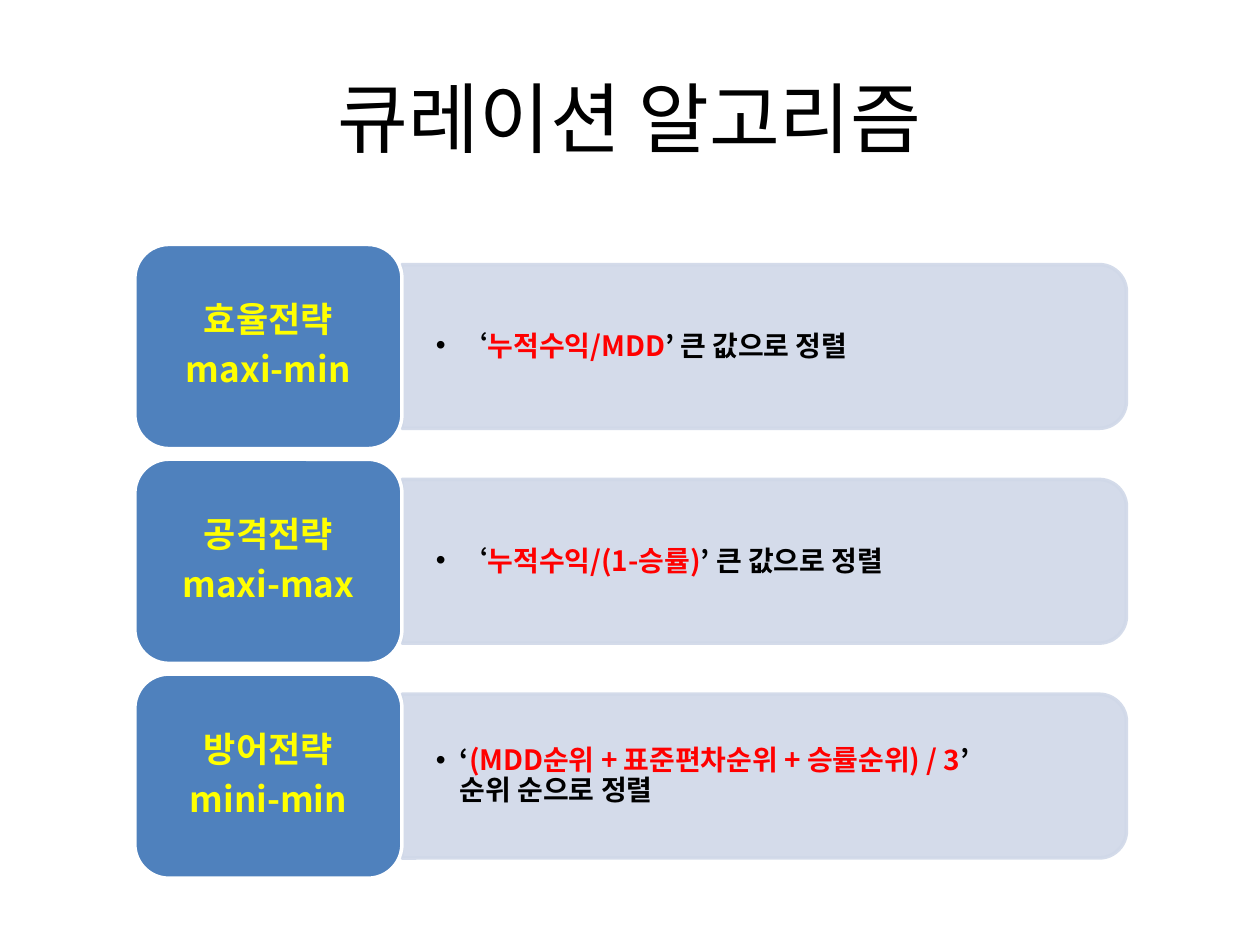
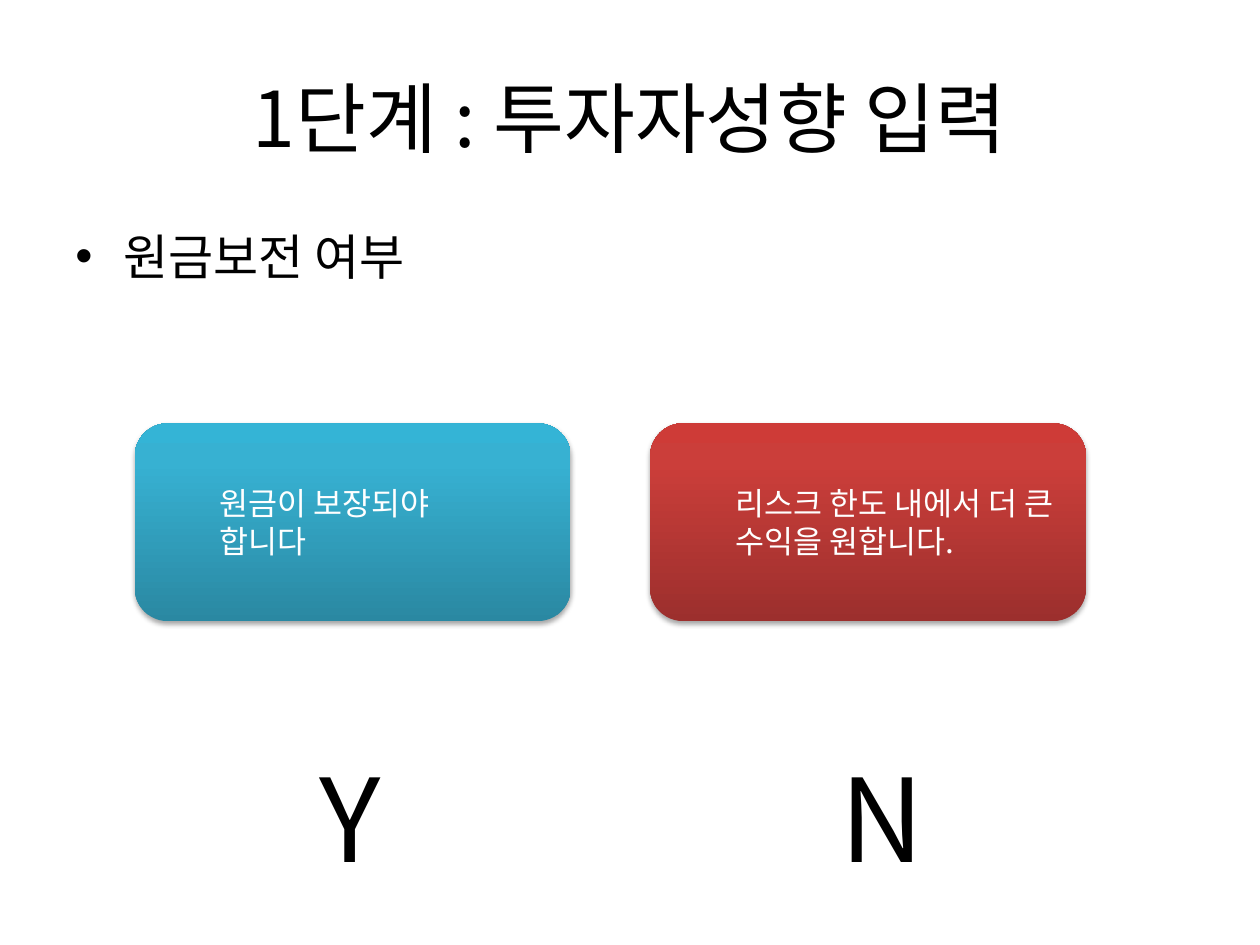
from lxml import etree
from pptx import Presentation
from pptx.dml.color import RGBColor
from pptx.enum import shapes, text
from pptx.oxml.ns import qn
from pptx.util import Inches, Pt

BLACK, WHITE, RED, YELLOW = "000000", "FFFFFF", "FF0000", "FFFF00"
BLUE, PALE = "4F81BD", "D0D8E8"
TEAL = ("2A88A2", "37B1D2", "34B4D6")
BRICK = ("9C2F2D", "CB3E3A", "CE3B37")
LEFT, MID = text.PP_ALIGN.LEFT, text.PP_ALIGN.CENTER
ROUND = shapes.MSO_SHAPE.ROUNDED_RECTANGLE


def rgb(code):
    return RGBColor.from_string(code)


def sub(node, tag, **attrs):
    item = etree.SubElement(node, qn(tag))
    for name, value in attrs.items():
        item.set(name, str(value))
    return item


class Deck:
    font = "Noto Sans CJK KR"

    def __init__(self):
        self.prs = Presentation()
        self.prs.slide_width, self.prs.slide_height = Inches(10), Inches(7.5)

    def page(self, title):
        self.slide = self.prs.slides.add_slide(self.prs.slide_layouts[6])
        box = self.label((0.5, 0.3, 9, 1.25), [title], 44, align=MID)
        box.text_frame.vertical_anchor = text.MSO_ANCHOR.MIDDLE

    def fill_text(self, frame, lines, size, color=BLACK, bold=False, align=LEFT):
        """Each line is a string or a list of (string, color) runs."""
        for i, line in enumerate(lines):
            para = frame.add_paragraph() if i else frame.paragraphs[0]
            para.alignment = align
            runs = [(line, color)] if isinstance(line, str) else line
            para.text = runs[0][0]
            for words, _ in runs[1:]:
                if words.startswith("\n"):
                    para.add_line_break()
                para.add_run().text = words.strip("\n")
            for run, (_, tint) in zip(para.runs, runs):
                font = run.font
                font.name, font.size, font.bold = self.font, Pt(size), bold
                font.color.rgb = rgb(tint)
                sub(run._r.get_or_add_rPr(), "a:ea", typeface=self.font)

    def label(self, at, lines, size, wrap=True, **style):
        box = self.slide.shapes.add_textbox(*map(Inches, at))
        box.text_frame.word_wrap = wrap
        self.fill_text(box.text_frame, lines, size, **style)
        return box

    def bullet(self, para, indent):
        props = para._p.get_or_add_pPr()
        props.set("marL", str(Inches(indent)))
        props.set("indent", str(-Inches(indent)))
        sub(props, "a:buFont", typeface="Arial")
        sub(props, "a:buChar", char="•")

    def shape(self, kind, at, fill=None, line=None):
        form = self.slide.shapes.add_shape(kind, *map(Inches, at))
        form.shadow.inherit = False
        if fill:
            form.fill.solid()
            form.fill.fore_color.rgb = rgb(fill)
        if line:
            form.line.color.rgb = rgb(line)
            form.line.width = Pt(2)
        else:
            form.line.fill.background()
        frame = form.text_frame
        frame.word_wrap = True
        frame.vertical_anchor = text.MSO_ANCHOR.MIDDLE
        return form

    def band(self, at):
        """Strip rounded on its right: an upright shape turned by 90 degrees."""
        x, y, w, h = at
        spot = (x + (w - h) / 2, y + (h - w) / 2, h, w)
        form = self.shape(shapes.MSO_SHAPE.ROUND_2_SAME_RECTANGLE, spot, PALE, PALE)
        form.rotation = 90
        for clr in form._element.spPr.iter(qn("a:srgbClr")):
            sub(clr, "a:alpha", val=90000)

    def row(self, top, names, rule):
        self.band((3.19, top + 0.16, 5.75, 1.3))
        box = self.label((3.19, top + 0.23, 5.68, 1.17), [rule], 16, bold=True)
        frame = box.text_frame
        frame.vertical_anchor = text.MSO_ANCHOR.MIDDLE
        frame.margin_left = frame.margin_right = Inches(0.27)
        para = frame.paragraphs[0]
        para.line_spacing, para.space_after = 0.9, Pt(2.4)
        self.bullet(para, 0.19)
        card = self.shape(ROUND, (1.07, top, 2.12, 1.62), BLUE, WHITE)
        self.fill_text(card.text_frame, names, 20, YELLOW, True, MID)
        for para in card.text_frame.paragraphs:
            para.line_spacing, para.space_after = 0.9, Pt(7)

    def choice(self, left, tints, lines):
        form = self.shape(ROUND, (left, 3.36, 3.46, 1.57))
        form.fill.gradient()
        form.fill.gradient_angle = 90
        props = form._element.spPr
        stops = props.find(".//" + qn("a:gsLst"))
        for stop in list(stops):
            stops.remove(stop)
        for pos, tint in zip((0, 80, 100), tints):
            sub(sub(stops, "a:gs", pos=pos * 1000), "a:srgbClr", val=tint)
        shade = sub(props.find(qn("a:effectLst")), "a:outerShdw", blurRad=Pt(3.1),
                    dist=Pt(1.8), dir=5400000, rotWithShape=0)
        sub(sub(shade, "a:srgbClr", val=BLACK), "a:alpha", val=35000)
        self.fill_text(form.text_frame, lines, 18, WHITE)
        for para in form.text_frame.paragraphs:
            para._p.get_or_add_pPr().set("marL", str(Inches(0.5)))


def main():
    deck = Deck()
    deck.page("큐레이션 알고리즘")
    plans = [
        ("효율전략", "maxi-min", "누적수익/MDD", "’ 큰 값으로 정렬"),
        ("공격전략", "maxi-max", "누적수익/(1-승률)", "’ 큰 값으로 정렬"),
        ("방어전략", "mini-min", "(MDD순위 + 표준편차순위 + 승률순위) / 3", "’"),
    ]
    for i, (name, goal, score, rest) in enumerate(plans):
        rule = [("‘", BLACK), (score, RED), (rest, BLACK)]
        if rest == "’":
            rule.append(("\n순위 순으로 정렬", BLACK))
        deck.row(1.94 + i * 1.705, [name, goal], rule)

    deck.page("1단계 : 투자자성향 입력")
    topic = deck.label((0.5, 1.75, 8.75, 1), ["원금보전 여부"], 28)
    para = topic.text_frame.paragraphs[0]
    para.space_before = Pt(5.6)
    deck.bullet(para, 0.38)
    deck.choice(1.07, TEAL, ["원금이 보장되야", "합니다"])
    deck.choice(5.16, BRICK, ["리스크 한도 내에서 더 큰 수익을 원합니다."])
    for key, left, width in (("Y", 2.44, 0.72), ("N", 6.57, 0.91)):
        deck.label((left, 5.88, width, 1.21), [key], 66, wrap=False)
    deck.prs.save("out.pptx")


if __name__ == "__main__":
    main()
